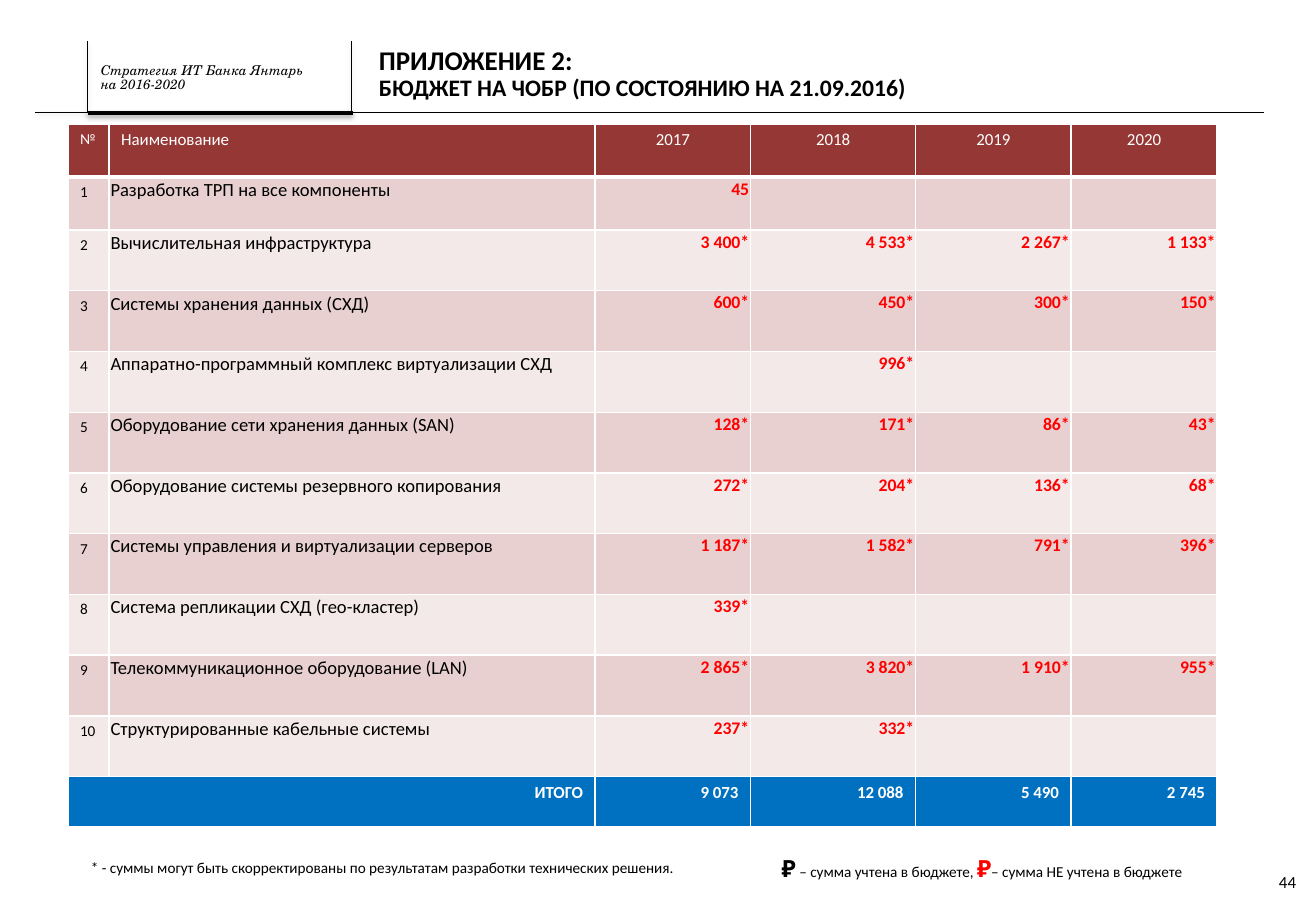
"""Build the budget appendix slide with its cost table for 2017-2020."""
from dataclasses import dataclass

from lxml import etree
from pptx import Presentation
from pptx.dml.color import RGBColor
from pptx.enum.shapes import MSO_CONNECTOR
from pptx.enum.text import MSO_ANCHOR, MSO_AUTO_SIZE, PP_ALIGN
from pptx.oxml import parse_xml
from pptx.oxml.ns import qn
from pptx.util import Cm, Pt

LEFT, CENTER, RIGHT = PP_ALIGN.LEFT, PP_ALIGN.CENTER, PP_ALIGN.RIGHT
TOP, MIDDLE = MSO_ANCHOR.TOP, MSO_ANCHOR.MIDDLE
NO_AUTOSIZE = MSO_AUTO_SIZE.NONE
STRAIGHT = MSO_CONNECTOR.STRAIGHT


@dataclass(frozen=True)
class Theme:
    font: str = "Calibri"
    serif: str = "TeX Gyre Schola"
    black: str = "000000"
    white: str = "FFFFFF"
    red: str = "FF0000"
    header: str = "953735"
    bands: tuple = ("E8D0D0", "F4E9E9")
    total: str = "0070C0"
    title: float = 16
    subtitle: float = 14
    ruble: float = 14
    name: float = 11
    amount: float = 10.5
    body: float = 10
    note: float = 9
    label: float = 8


THEME = Theme()
SHADOW = (
    '<a:effectLst xmlns:a="http://schemas.openxmlformats.org/drawingml/2006/main">'
    '<a:outerShdw blurRad="39370" dist="20320" dir="5400000" rotWithShape="0">'
    '<a:srgbClr val="000000"><a:alpha val="38000"/></a:srgbClr>'
    '</a:outerShdw></a:effectLst>'
)


def set_font(font, size, color=THEME.black, bold=False, name=THEME.font):
    font.name, font.size, font.bold = name, Pt(size), bold
    font.color.rgb = RGBColor.from_string(color)


def add_text(left, top, width, height, margins=(0, 0, 0, 0), anchor=TOP):
    box = slide.shapes.add_textbox(Cm(left), Cm(top), Cm(width), Cm(height))
    frame = box.text_frame
    frame.word_wrap = True
    frame.vertical_anchor = anchor
    (frame.margin_left, frame.margin_top,
     frame.margin_right, frame.margin_bottom) = [Cm(margin) for margin in margins]
    return frame


presentation = Presentation()
presentation.slide_width, presentation.slide_height = Cm(27.51), Cm(19.05)
slide = presentation.slides.add_slide(presentation.slide_layouts[5])

frame_lines = [
    (1.83, 2.34, 0.74, 2.34, 0.25),
    (7.37, 2.36, 1.83, 2.36, 2.25),
    (26.42, 2.34, 7.32, 2.34, 0.25),
    (1.83, 2.36, 1.83, 0.86, 0.25),
    (7.34, 2.36, 7.34, 0.86, 0.25),
]
for *ends, weight in frame_lines:
    line = slide.shapes.add_connector(STRAIGHT, *[Cm(end) for end in ends])
    line.line.color.rgb = RGBColor.from_string(THEME.black)
    line.line.width = Pt(weight)
    line._element.spPr.append(parse_xml(SHADOW))

strategy = add_text(2.11, 1.35, 5.16, 0.58, anchor=MIDDLE)
strategy.text = "Стратегия ИТ Банка Янтарь\nна 2016-2020"
for paragraph in strategy.paragraphs:
    paragraph.line_spacing = 0.85
    set_font(paragraph.font, THEME.label, name=THEME.serif)
    paragraph.font.italic = True

title = slide.shapes.title
title.left, title.top, title.width, title.height = Cm(7.67), Cm(0.99), Cm(19.23), Cm(0.97)
heading = title.text_frame
heading.text = "ПРИЛОЖЕНИЕ 2:\nБЮДЖЕТ НА ЧОБР (ПО СОСТОЯНИЮ НА 21.09.2016)"
heading.auto_size, heading.vertical_anchor = NO_AUTOSIZE, TOP
heading.margin_left = Cm(0.25)
heading.margin_top = heading.margin_right = heading.margin_bottom = 0
for paragraph, size in zip(heading.paragraphs, (THEME.title, THEME.subtitle)):
    paragraph.alignment = LEFT
    paragraph.line_spacing = 0.9
    paragraph.space_before = Pt(0)
    set_font(paragraph.font, size, bold=True)

page_number = add_text(26.37, 17.93, 1.09, 1.02, anchor=MIDDLE)
page_number.text = "44"
page_number.paragraphs[0].alignment = CENTER
set_font(page_number.paragraphs[0].font, THEME.body)

budget = [
    ("№", "Наименование", "2017", "2018", "2019", "2020"),
    ("1", "Разработка ТРП на все компоненты", "45", "", "", ""),
    ("2", "Вычислительная инфраструктура", "3 400*", "4 533*", "2 267*", "1 133*"),
    ("3", "Системы хранения данных (СХД)", "600*", "450*", "300*", "150*"),
    ("4", "Аппаратно-программный комплекс виртуализации СХД", "", "996*", "", ""),
    ("5", "Оборудование сети хранения данных (SAN)", "128*", "171*", "86*", "43*"),
    ("6", "Оборудование системы резервного копирования", "272*", "204*", "136*", "68*"),
    ("7", "Системы управления и виртуализации серверов", "1 187*", "1 582*", "791*", "396*"),
    ("8", "Система репликации СХД (гео-кластер)", "339*", "", "", ""),
    ("9", "Телекоммуникационное оборудование (LAN)", "2 865*", "3 820*", "1 910*", "955*"),
    ("10", "Структурированные кабельные системы", "237*", "332*", "", ""),
    ("ИТОГО", "", "9 073", "12 088", "5 490", "2 745"),
]
column_widths = [0.86, 10.16, 3.25, 3.45, 3.25, 3.05]
row_heights = [1.11] * 2 + [1.27] * 9 + [1.05]
last_row = len(budget) - 1

table = slide.shapes.add_table(
    len(budget), len(column_widths), Cm(1.42), Cm(2.59),
    Cm(sum(column_widths)), Cm(sum(row_heights))).table
for column, width in zip(table.columns, column_widths):
    column.width = Cm(width)
for row, height in zip(table.rows, row_heights):
    row.height = Cm(height)
table.cell(last_row, 0).merge(table.cell(last_row, 1))

for row_index, values in enumerate(budget):
    is_header, is_total = row_index == 0, row_index == last_row
    for column_index, value in enumerate(values):
        cell = table.cell(row_index, column_index)
        alignment = LEFT if column_index < 2 else RIGHT
        if is_header:
            fill, color, bold = THEME.header, THEME.white, False
            size = THEME.body if column_index else THEME.note
            alignment = LEFT if column_index < 2 else CENTER
        elif is_total:
            fill, color, bold, size = THEME.total, THEME.white, True, THEME.body
            alignment = RIGHT
        else:
            fill = THEME.bands[(row_index - 1) % 2]
            bold = column_index > 1
            color = THEME.red if bold else THEME.black
            size = (THEME.note, THEME.name, THEME.amount)[min(column_index, 2)]
            if column_index:
                cell.margin_left = cell.margin_top = cell.margin_right = Cm(0.03)
                cell.margin_bottom = 0

        cell.fill.solid()
        cell.fill.fore_color.rgb = RGBColor.from_string(fill)
        if not cell.is_spanned:
            cell.text = value
            paragraph = cell.text_frame.paragraphs[0]
            paragraph.alignment = alignment
            set_font(paragraph.font, size, color, bold)

        properties = cell._tc.get_or_add_tcPr()
        for position, side in enumerate(("lnL", "lnR", "lnT", "lnB")):
            weight = 3 if is_header and side == "lnB" else 1
            border = etree.Element(qn(f"a:{side}"), w=str(Pt(weight)))
            solid = etree.SubElement(border, qn("a:solidFill"))
            etree.SubElement(solid, qn("a:srgbClr"), val=THEME.white)
            properties.insert(position, border)

ruble_legend = [
    (" ₽", THEME.ruble, THEME.black, True),
    (" – сумма учтена в бюджете, ", THEME.note, THEME.black, False),
    ("₽", THEME.ruble, THEME.red, True),
    ("– сумма НЕ учтена в бюджете", THEME.note, THEME.black, False),
]
footnote = [("* - суммы могут быть скорректированы по результатам разработки "
             "технических решения.", THEME.note, THEME.black, False)]
notes = [((0.38, 17.81, 26.04, 0.64), footnote), ((14.71, 17.73, 11.46, 0.86), ruble_legend)]
for place, parts in notes:
    paragraph = add_text(*place, margins=(1.52, 0.13, 0.25, 0.13)).paragraphs[0]
    paragraph.space_before = paragraph.space_after = Pt(6)
    for text, size, color, bold in parts:
        run = paragraph.add_run()
        run.text = text
        set_font(run.font, size, color, bold)

presentation.save("out.pptx")
